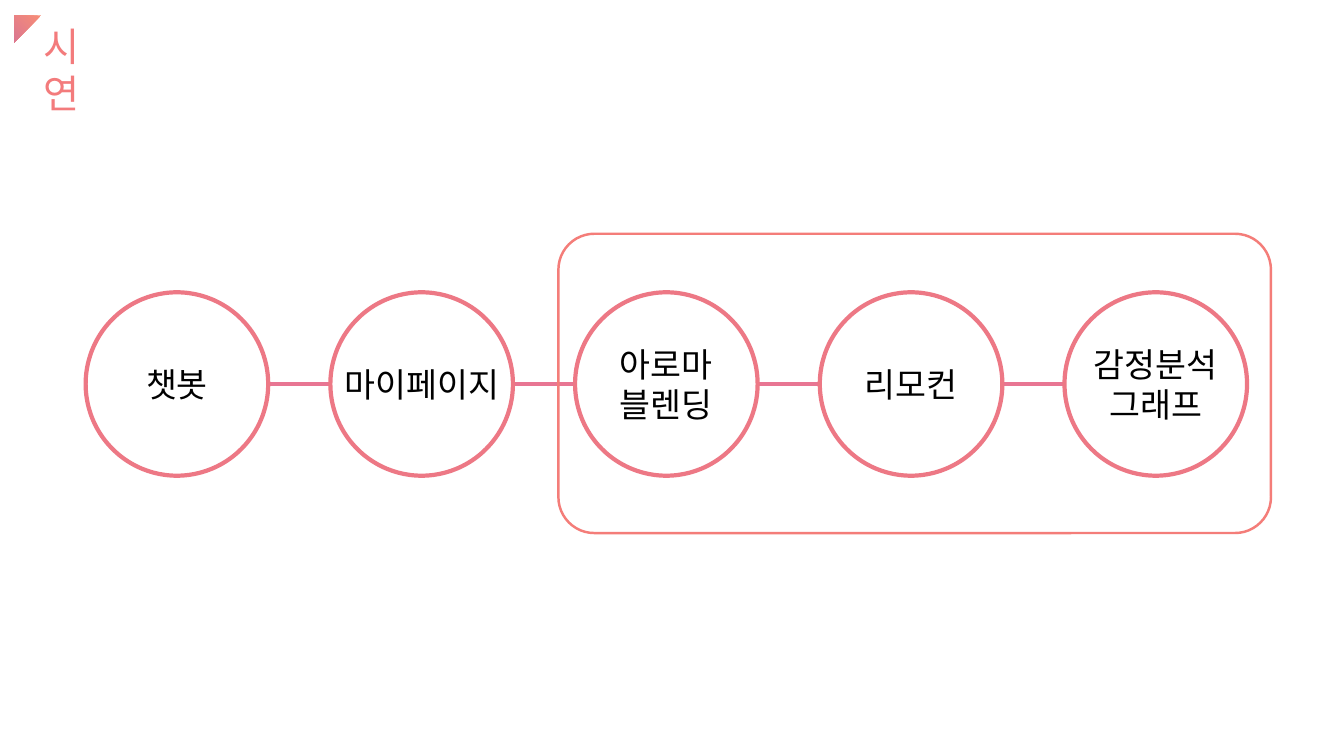
from dataclasses import dataclass

from lxml import etree
from pptx import Presentation
from pptx.dml.color import RGBColor
from pptx.enum import shapes, text
from pptx.oxml import ns
from pptx.util import Pt


@dataclass(frozen=True)
class Theme:
    font: str = "Noto Sans CJK KR"
    title_size: float = 28
    step_size: float = 24
    title: str = "F37B7C"
    ink: str = "000000"
    paper: str = "FFFFFF"
    ring: str = "ED7885"
    link: str = "E87693"
    frame: str = "F47D79"
    corner_start: str = "F78D77"
    corner_end: str = "DB7791"


@dataclass(frozen=True)
class Step:
    label: str
    left: float


THEME = Theme()
LABELS = ("챗봇", "마이페이지", "아로마\n블렌딩", "리모컨", "감정분석\n그래프")
FIRST_LEFT, PITCH = 61.2, 174.8
RING_TOP, RING_WIDTH, RING_HEIGHT = 208.8, 130.4, 131
STEPS = [Step(label, FIRST_LEFT + i * PITCH) for i, label in enumerate(LABELS)]


def rgb(value: str) -> RGBColor:
    return RGBColor.from_string(value)


def style_text(frame, size: float, color: str, align) -> None:
    for para in frame.paragraphs:
        para.alignment = align
        para.font.name = THEME.font
        para.font.size = Pt(size)
        para.font.color.rgb = rgb(color)
        defaults = para.font._element if hasattr(para.font, "_element") else para._p.pPr.find(ns.qn("a:defRPr"))
        east_asian = etree.Element(ns.qn("a:ea"), typeface=THEME.font)
        defaults.find(ns.qn("a:latin")).addnext(east_asian)


def add_outline(page, kind, left: float, top: float, width: float, height: float,
                color: str, weight: float):
    shape = page.shapes.add_shape(kind, Pt(left), Pt(top), Pt(width), Pt(height))
    shape.shadow.inherit = False
    shape.line.color.rgb = rgb(color)
    shape.line.width = Pt(weight)
    return shape


def add_title(page) -> None:
    title = page.shapes.title
    title.left, title.top, title.width, title.height = Pt(23.8), Pt(12.2), Pt(62), Pt(75)
    frame = title.text_frame
    frame.text = "시연"
    frame.word_wrap = True
    frame.auto_size = text.MSO_AUTO_SIZE.NONE
    frame.vertical_anchor = text.MSO_ANCHOR.TOP
    style_text(frame, THEME.title_size, THEME.title, text.PP_ALIGN.LEFT)


def add_corner(page) -> None:
    corner = page.shapes.add_shape(
        shapes.MSO_SHAPE.RIGHT_TRIANGLE, Pt(10), Pt(11), Pt(19.4), Pt(19.4))
    corner.rotation = 90
    corner.shadow.inherit = False
    corner.line.fill.background()
    corner.fill.gradient()
    corner.fill.gradient_angle = 315
    for stop, color in zip(corner.fill.gradient_stops, (THEME.corner_start, THEME.corner_end)):
        stop.color.rgb = rgb(color)


def add_link(page) -> None:
    middle = Pt(RING_TOP + RING_HEIGHT / 2)
    link = page.shapes.add_connector(
        shapes.MSO_CONNECTOR.STRAIGHT,
        Pt(STEPS[0].left + RING_WIDTH), middle, Pt(STEPS[-1].left), middle)
    link.line.color.rgb = rgb(THEME.link)
    link.line.width = Pt(2.25)
    etree.SubElement(link._element.spPr, ns.qn("a:effectLst"))


def add_step(page, step: Step) -> None:
    ring = add_outline(page, shapes.MSO_SHAPE.OVAL, step.left, RING_TOP,
                       RING_WIDTH, RING_HEIGHT, THEME.ring, 3)
    ring.fill.solid()
    ring.fill.fore_color.rgb = rgb(THEME.paper)
    frame = ring.text_frame
    frame.text = step.label
    frame.word_wrap = False
    frame.vertical_anchor = text.MSO_ANCHOR.MIDDLE
    style_text(frame, THEME.step_size, THEME.ink, text.PP_ALIGN.CENTER)


def add_frame(page) -> None:
    frame = add_outline(page, shapes.MSO_SHAPE.ROUNDED_RECTANGLE,
                        398.9, 167, 509, 213.8, THEME.frame, 1.75)
    frame.adjustments[0] = 0.12
    frame.fill.background()


def main() -> None:
    deck = Presentation()
    deck.slide_width, deck.slide_height = Pt(960), Pt(540)
    page = deck.slides.add_slide(deck.slide_layouts.get_by_name("Title Only"))
    add_title(page)
    add_corner(page)
    add_link(page)
    for step in STEPS:
        add_step(page, step)
    add_frame(page)
    deck.save("out.pptx")


if __name__ == "__main__":
    main()
